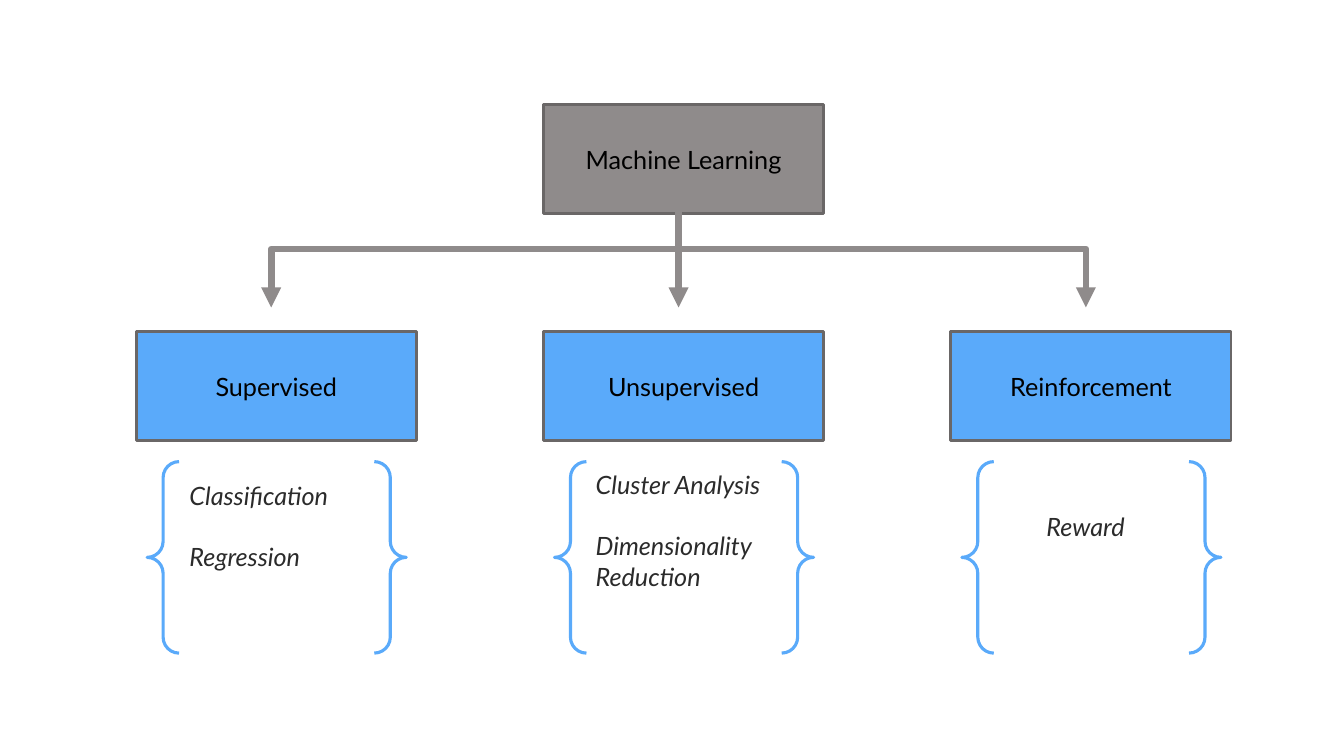
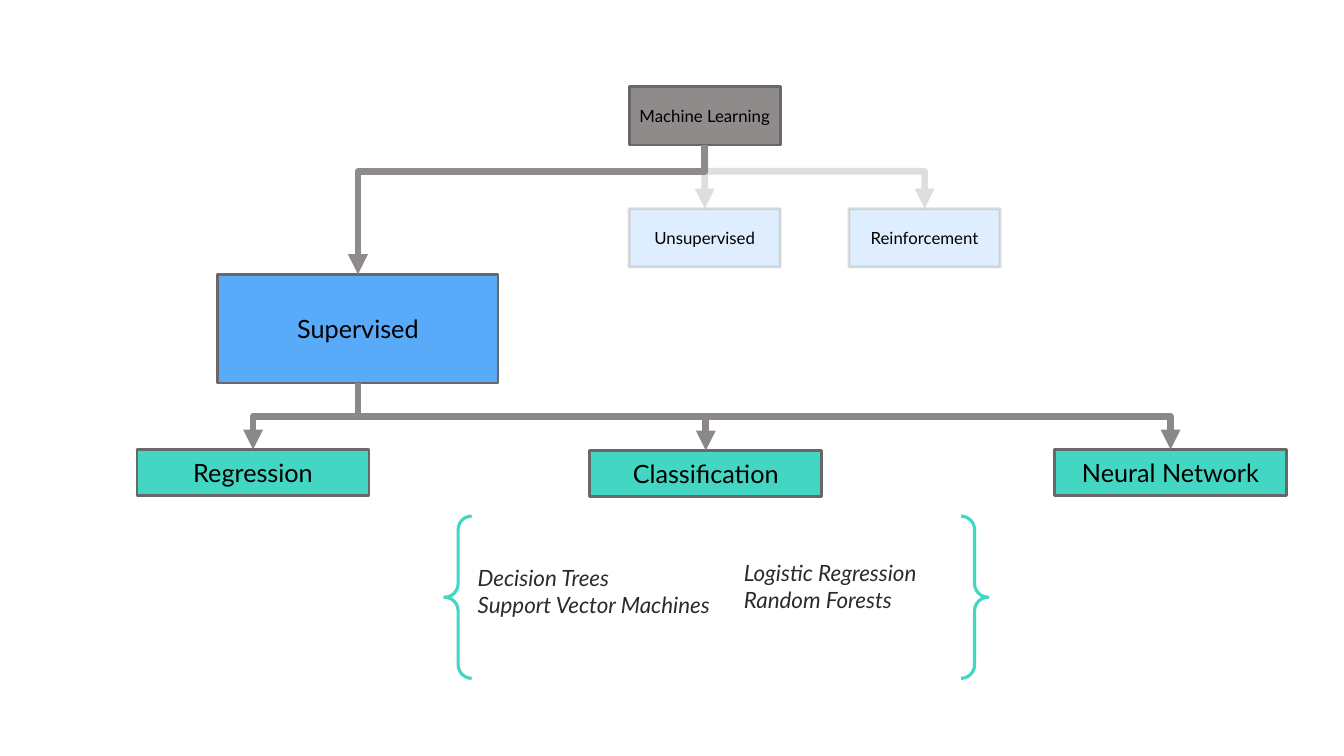
from dataclasses import dataclass

from lxml.etree import SubElement as Sub
from pptx import Presentation as Deck
from pptx.dml.color import RGBColor as Color
from pptx.enum.shapes import MSO_CONNECTOR as Wire, MSO_SHAPE as Form
from pptx.enum.text import MSO_ANCHOR as Anchor, PP_ALIGN as Align
from pptx.oxml.ns import qn
from pptx.util import Emu, Inches, Pt

WIDE, HIGH = 133.3, 75
FONT = "Lato"
BLACK, INK = "000000", "2B2B2B"
GRAY, EDGE, DARK = "8F8B8B", "6A6767", "8C8888"
BLUE, TEAL = "5AAAFA", "42D6C3"


@dataclass
class Box:
    text: str
    x: float
    y: float
    w: float = 27.8
    h: float = 10.8
    fill: str = BLUE
    size: int = 18
    faint: bool = False

    @property
    def mid(self) -> float:
        return self.x + self.w / 2

    @property
    def foot(self) -> float:
        return self.y + self.h


@dataclass
class Link:
    x: float
    y: float
    to_x: float
    to_y: float
    turn: float
    color: str = GRAY
    faint: bool = False


@dataclass
class Note:
    lines: list[str]
    x: float
    y: float
    w: float
    h: float
    size: int = 18
    gap: int = 0


def cell(n: float) -> Emu:
    return Inches(n / 10)


def frame(*spot: float) -> list[Emu]:
    return [cell(n) for n in spot]


def paint(part, color: str, alpha: int = 100) -> None:
    part.solid()
    part.fore_color.rgb = Color.from_string(color)
    if alpha < 100:
        node = part.fore_color._xFill.find(qn("a:srgbClr"))
        Sub(node, qn("a:alpha"), val=str(alpha * 1000))


def stroke(shape, color: str, width: float, alpha: int = 100) -> None:
    shape.line.width = Pt(width)
    paint(shape.line.fill, color, alpha)


def write(par, text: str, size: int, color: str, slant: bool = False) -> None:
    run = par.add_run()
    run.text = text
    run.font.name = FONT
    run.font.size = Pt(size)
    run.font.italic = slant
    run.font.color.rgb = Color.from_string(color)


def draw_box(page, box: Box):
    shape = page.shapes.add_shape(Form.RECTANGLE, *frame(box.x, box.y, box.w, box.h))
    shape.shadow.inherit = False
    paint(shape.fill, box.fill, 20 if box.faint else 100)
    if box.faint:
        stroke(shape, GRAY, 2, 27)
    else:
        stroke(shape, EDGE, 2)
    body = shape.text_frame
    body.word_wrap = True
    body.margin_left = body.margin_right = 0
    body.vertical_anchor = Anchor.MIDDLE
    par = body.paragraphs[0]
    par.alignment = Align.CENTER
    write(par, box.text, box.size, BLACK)
    return shape


def draw_brace(page, x: float, y: float, w: float, h: float, color: str) -> None:
    shape = page.shapes.add_shape(Form.DOUBLE_BRACE, *frame(x, y, w, h))
    shape.shadow.inherit = False
    shape.fill.background()
    stroke(shape, color, 2.25)


def draw_note(page, note: Note) -> None:
    body = page.shapes.add_textbox(*frame(note.x, note.y, note.w, note.h)).text_frame
    body.word_wrap = True
    for i, text in enumerate(note.lines):
        par = body.add_paragraph() if i else body.paragraphs[0]
        if i == 1:
            par.space_before = Pt(note.gap)
        write(par, text, note.size, INK, True)


def style(wire, link: Link) -> None:
    stroke(wire, link.color, 4.75, 27 if link.faint else 100)
    spot = wire.element.spPr
    Sub(spot.find(qn("a:ln")), qn("a:tailEnd"), type="triangle")
    Sub(spot, qn("a:effectLst"))


def draw_line(page, link: Link):
    ends = frame(link.x, link.y, link.to_x, link.to_y)
    wire = page.shapes.add_connector(Wire.STRAIGHT, *ends)
    style(wire, link)
    return wire


def draw_bend(page, link: Link) -> None:
    drop, span = link.to_y - link.y, abs(link.to_x - link.x)
    x = (link.x + link.to_x - drop) / 2
    y = (link.y + link.to_y - span) / 2
    wire = page.shapes.add_connector(Wire.ELBOW, *frame(x, y, x + drop, y + span))
    spot = wire.element.spPr
    form = spot.find(qn("a:xfrm"))
    if link.to_x < link.x:
        form.set("rot", "5400000")
    else:
        form.set("rot", "16200000")
        form.set("flipH", "1")
    share = round((link.turn - link.y) / drop * 100000)
    guides = spot.find(qn("a:prstGeom")).get_or_add_avLst()
    Sub(guides, qn("a:gd"), name="adj1", fmla=f"val {share}")
    style(wire, link)


def types_page(page) -> None:
    left, step = 13.5, 40.4
    names = ["Supervised", "Unsupervised", "Reinforcement"]
    draw_box(page, Box("Machine Learning", left + step, 10.4, fill=GRAY))
    for i, name in enumerate(names):
        draw_box(page, Box(name, left + i * step, 32.9))
        draw_brace(page, left + 1.1 + i * step, 45.8, 25.7, 19, BLUE)

    stem = 67.3
    draw_line(page, Link(stem, 18.9, stem, 30.5, 24.7))
    for side in (-step, step):
        draw_bend(page, Link(stem, 18.9, stem + side, 30.5, 24.7))

    for note in (
        Note(["Classification", "Regression"], 17.8, 47.2, 16.9, 13.1, gap=22),
        Note(["Cluster Analysis", "Dimensionality", "Reduction"],
             58.1, 46.1, 19.5, 16.2, gap=22),
        Note(["Reward"], 102.8, 50.2, 10.7, 4),
    ):
        draw_note(page, note)


def methods_page(page) -> None:
    small = {"w": 15, "h": 5.8, "size": 12}
    main = Box("Supervised", 21.6, 27.2)
    root = Box("Machine Learning", 62.4, 8.6, fill=GRAY, **small)
    near = Box("Unsupervised", 62.4, 20.7, faint=True, **small)
    far = Box("Reinforcement", 84.2, 20.7, faint=True, **small)
    leaves = [
        Box(name, x, y, 23, 4.6, TEAL)
        for name, x, y in (
            ("Regression", 13.6, 44.6),
            ("Classification", 58.5, 44.7),
            ("Neural Network", 104.6, 44.6),
        )
    ]
    draw_box(page, main)
    top = draw_box(page, root)
    end = draw_box(page, near)
    draw_box(page, far)

    wire = draw_line(page, Link(root.mid, root.foot, near.mid, near.y, 17, faint=True))
    wire.begin_connect(top, 2)
    wire.end_connect(end, 0)
    for box in (main, far):
        draw_bend(page, Link(root.mid, root.foot, box.mid, box.y, 17, faint=box.faint))
    for leaf in leaves:
        draw_box(page, leaf)
        draw_bend(page, Link(main.mid, main.foot, leaf.mid, leaf.y, 41.3, DARK))

    draw_brace(page, 44.1, 51.2, 53.9, 16.1, TEAL)
    draw_note(page, Note(["Decision Trees", "Support Vector Machines"],
                         46.4, 55.5, 26.4, 6.4, 16))
    draw_note(page, Note(["Logistic Regression", "Random Forests"],
                         72.8, 55, 20.7, 6.4, 16))


def main() -> None:
    deck = Deck()
    deck.slide_width, deck.slide_height = frame(WIDE, HIGH)
    for build in (types_page, methods_page):
        build(deck.slides.add_slide(deck.slide_layouts[6]))
    deck.save("out.pptx")


if __name__ == "__main__":
    main()
